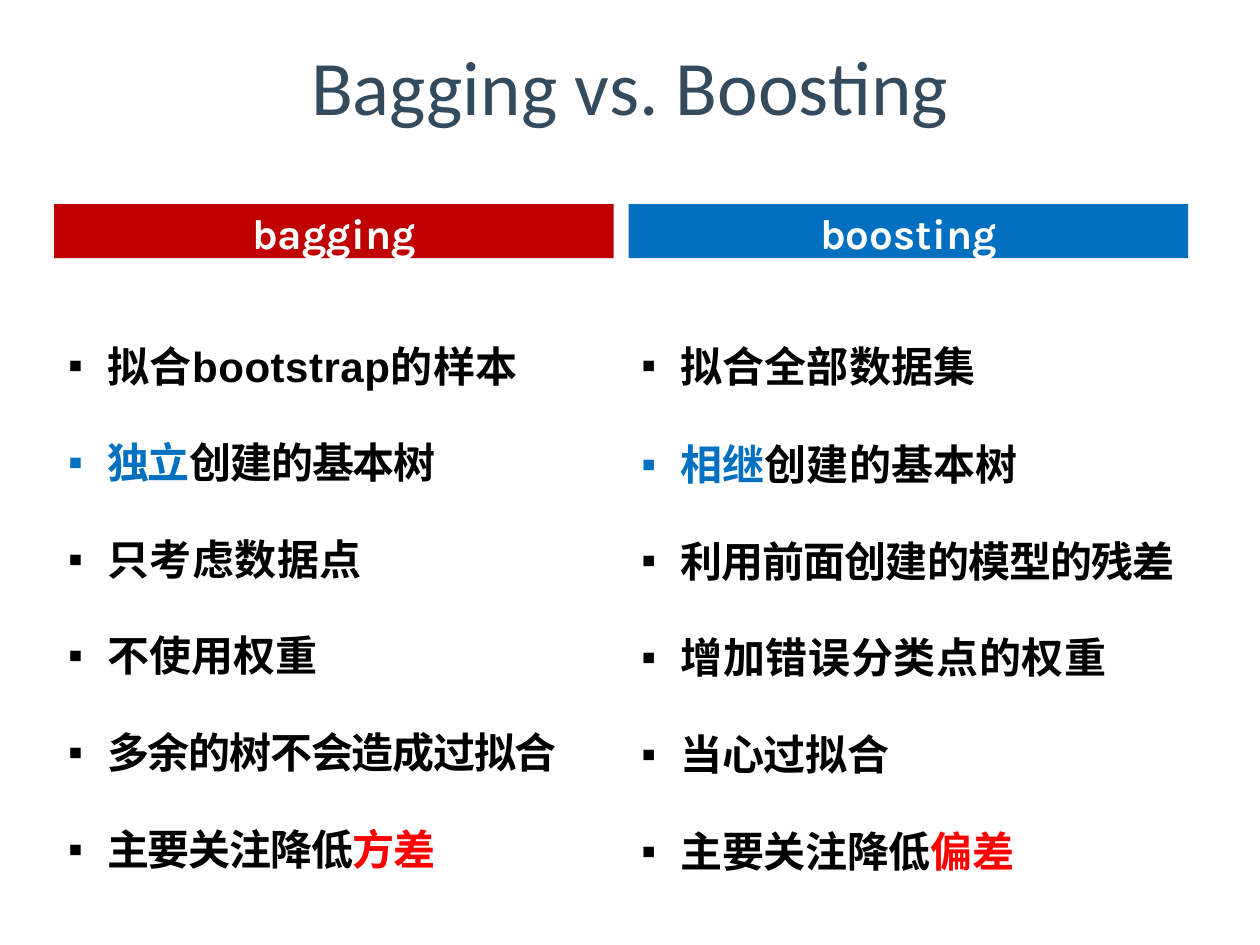
from lxml.etree import SubElement
from pptx import Presentation
from pptx.dml.color import RGBColor
from pptx.enum.lang import MSO_LANGUAGE_ID
from pptx.enum.shapes import MSO_SHAPE
from pptx.enum.text import MSO_ANCHOR, PP_ALIGN
from pptx.oxml.ns import qn
from pptx.util import Inches, Pt

COLORS = {"title": "344B5E", "white": "FFFFFF", "black": "000000",
          "crimson": "C00000", "navy": "006FC0",
          "blue": "0070C0", "red": "FF0000"}

TITLE = "Bagging vs. Boosting"

# Each point: space before (pt), letter spacing (pt), runs of (text, colour)
COLUMNS = [
    {"head": "bagging", "fill": "crimson", "left": 0.43, "inset": 0.09,
     "width": 4.12, "height": 4.58, "points": [
         (13.1, 0.3, [("拟合bootstrap的样本", "black")]),
         (12, -0.7, [("独立", "blue"), ("创建的基本树", "black")]),
         (12, 0.3, [("只考虑数据点", "black")]),
         (12, 0.1, [("不使用权重", "black")]),
         (12.1, -0.7, [("多余的树不会造成过拟合", "black")]),
         (12.1, -0.7, [("主要关注降低", "black"), ("方差", "red")])]},
    {"head": "boosting", "fill": "navy", "left": 4.99, "inset": 0.08,
     "width": 4.39, "height": 4.6, "points": [
         (13.1, 0.1, [("拟合全部数据集", "black")]),
         (13.1, 0.1, [("相继", "blue"), ("创建的基本树", "black")]),
         (12, -0.5, [("利用前面创建的模型的残差", "black")]),
         (12, 0.4, [("增加错误分类点的权重", "black")]),
         (12.1, -0.2, [("当心过拟合", "black")]),
         (12.1, -0.2, [("主要关注降低", "black"), ("偏差", "red")])]},
]


def color(name):
    return RGBColor.from_string(COLORS[name])


def set_frame(frame, top, anchor):
    frame.word_wrap = True
    frame.vertical_anchor = anchor
    frame.margin_left = frame.margin_right = frame.margin_bottom = 0
    frame.margin_top = Inches(top)


def add_run(para, text, face, size, tone, bold=None):
    run = para.add_run()
    run.text = text
    font = run.font
    font.name, font.size, font.bold = face, Pt(size), bold
    font.color.rgb = color(tone)
    return run


def add_bullet(para):
    props = para._p.get_or_add_pPr()
    props.set("marL", str(Inches(0.33)))
    props.set("indent", str(Inches(-0.31)))
    SubElement(props, qn("a:buFont"), typeface="Arial")
    SubElement(props, qn("a:buChar"), char="▪")


def add_head(slide, col):
    bar = slide.shapes.add_shape(
        MSO_SHAPE.RECTANGLE, Inches(col["left"]), Inches(1.62),
        Inches(4.44), Inches(0.43))
    bar.shadow.inherit = False
    bar.fill.solid()
    bar.fill.fore_color.rgb = color(col["fill"])
    bar.line.fill.background()
    set_frame(bar.text_frame, 0.03, MSO_ANCHOR.TOP)
    para = bar.text_frame.paragraphs[0]
    para.alignment = PP_ALIGN.CENTER
    para.space_before = Pt(2.1)
    add_run(para, col["head"], "Karla", 24, "white", True)


def add_points(slide, col):
    box = slide.shapes.add_textbox(
        Inches(col["left"] + col["inset"]), Inches(2.32),
        Inches(col["width"]), Inches(col["height"]))
    frame = box.text_frame
    set_frame(frame, 0.18, MSO_ANCHOR.TOP)
    for i, (before, gap, runs) in enumerate(col["points"]):
        para = frame.add_paragraph() if i else frame.paragraphs[0]
        para.line_spacing = 1.5
        para.space_before = Pt(before)
        add_bullet(para)
        for text, tone in runs:
            run = add_run(para, text, "Arial", 24, tone, True)
            run.font.language_id = MSO_LANGUAGE_ID.SIMPLIFIED_CHINESE
            run._r.get_or_add_rPr().set("spc", str(round(gap * 100)))


def main():
    deck = Presentation()
    deck.slide_width, deck.slide_height = Inches(10), Inches(7.5)
    slide = deck.slides.add_slide(deck.slide_layouts[5])

    # Title
    title = slide.shapes.title
    title.left, title.top = Inches(0.5), Inches(0.05)
    title.width, title.height = Inches(9), Inches(1.25)
    set_frame(title.text_frame, 0, MSO_ANCHOR.MIDDLE)
    para = title.text_frame.paragraphs[0]
    para.alignment = PP_ALIGN.CENTER
    add_run(para, TITLE, "Calibri", 44, "title")

    # Two columns: header bar above a bulleted list
    for col in COLUMNS:
        add_head(slide, col)
        add_points(slide, col)

    deck.save("out.pptx")


if __name__ == "__main__":
    main()
